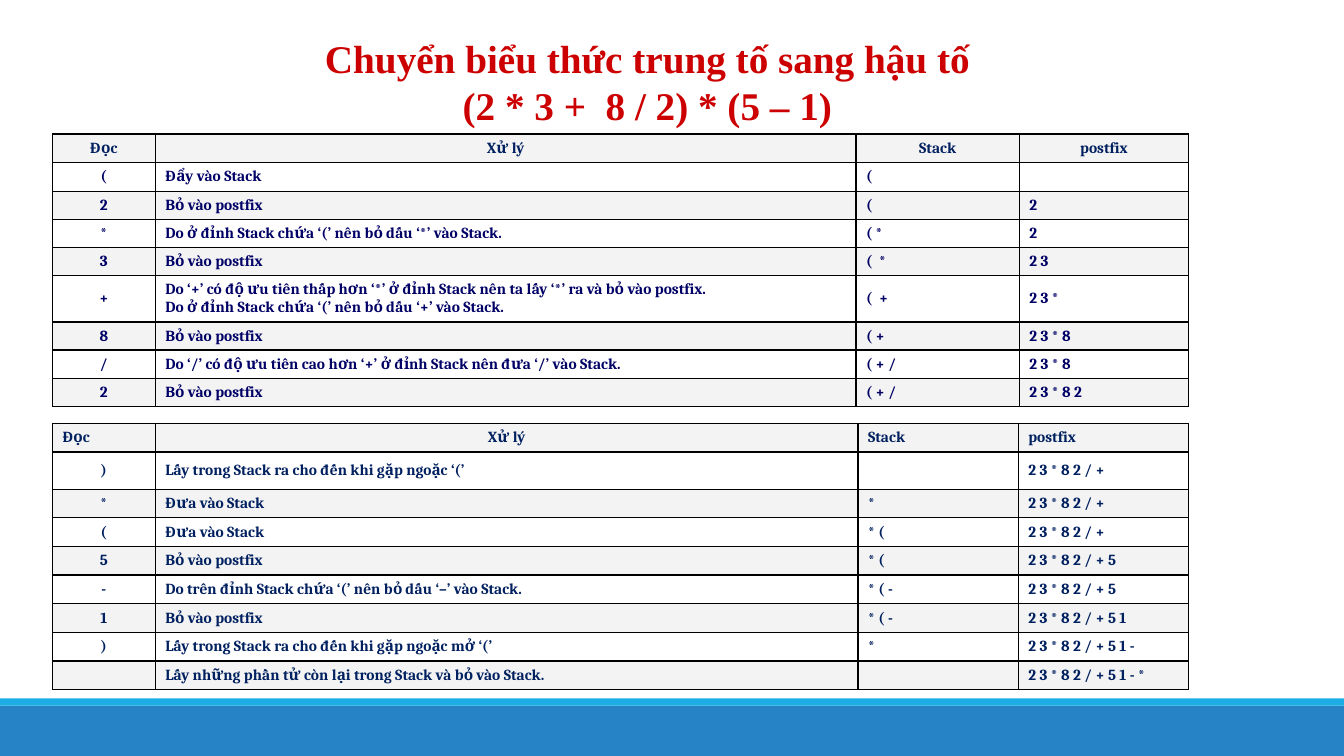
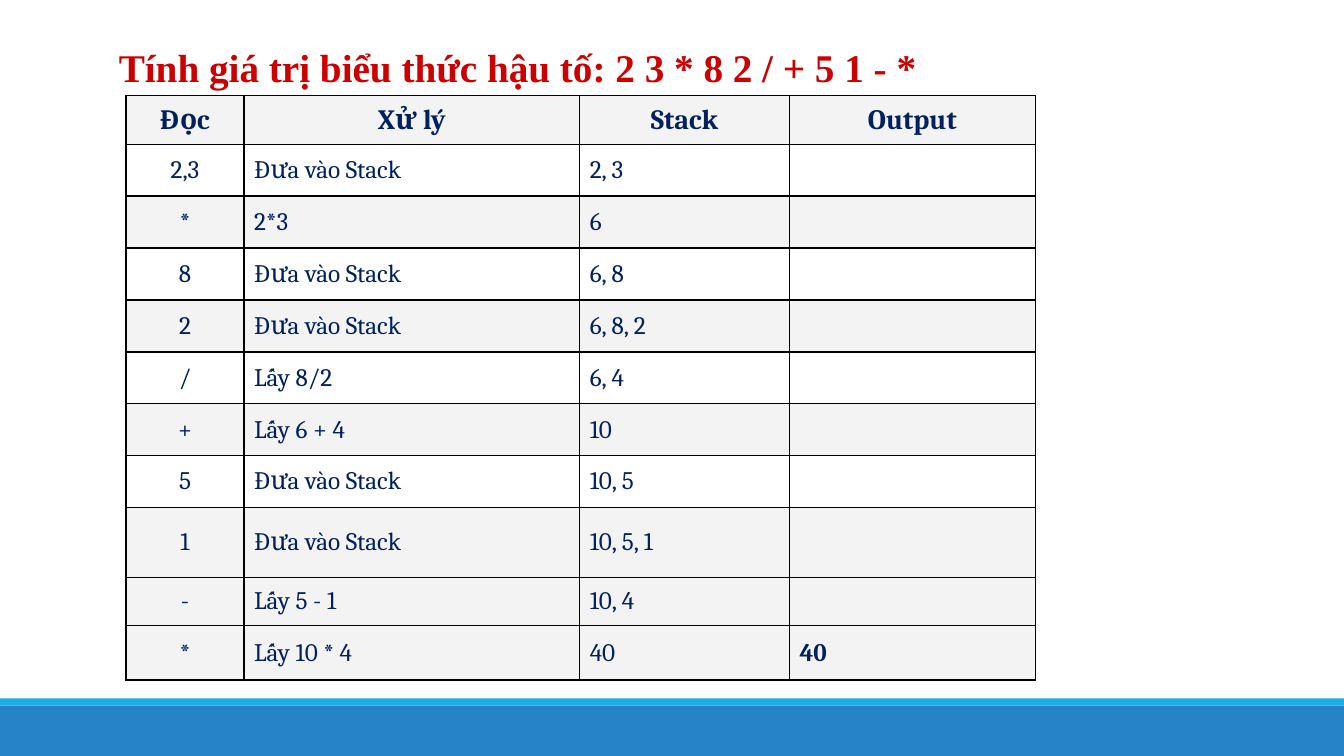
from dataclasses import dataclass, field

from lxml import etree
from pptx import Presentation
from pptx.dml.color import RGBColor
from pptx.enum import shapes, text
from pptx.oxml.ns import qn
from pptx.util import Inches, Pt

LEFT, CENTER, JUSTIFY = text.PP_ALIGN.LEFT, text.PP_ALIGN.CENTER, text.PP_ALIGN.JUSTIFY


@dataclass(frozen=True)
class Theme:
    """Colours, fonts and type sizes shared by the slides."""
    title: str = "CC0000"
    navy: str = "002060"
    indigo: str = "000066"
    stripe: str = "F3F3F3"
    plain: str = "FFFFFF"
    border: str = "000000"
    footer: str = "2683C6"
    accent: str = "1CADE4"
    title_font: str = "Times New Roman"
    table_font: str = "Cambria"
    title_size: int = 28
    dense_size: int = 11
    header_size: int = 20
    body_size: int = 18
    border_width: int = 1


THEME = Theme()


@dataclass(frozen=True)
class Box:
    """Position and size in inches."""
    left: float
    top: float
    width: float
    height: float


@dataclass(frozen=True)
class Style:
    """Look of the characters in a run."""
    font: str
    size: int
    color: str
    bold: bool = True


@dataclass(frozen=True)
class Grid:
    """A trace table; rows without a special height share what is left."""
    box: Box
    cols: list[float]
    rows: list[tuple[str, ...]]
    header: Style
    body: Style
    special_heights: dict[int, float]
    header_aligns: tuple = (CENTER,) * 4
    stripe_all_from: int = 99
    bold_cells: set[tuple[int, int]] = field(default_factory=set)


BANDS = [
    (Box(0, 7, 13.33, 0.5), THEME.footer),
    (Box(0, 6.93, 13.33, 0.07), THEME.accent),
]


def lengths(box: Box) -> tuple:
    """Convert a box to slide lengths."""
    return tuple(Inches(v) for v in (box.left, box.top, box.width, box.height))


def write(tf, content: str, style: Style, align) -> None:
    """Fill a text frame and format each paragraph."""
    tf.text = content
    for p in tf.paragraphs:
        p.alignment = align
        if not p.runs:
            p._p.get_or_add_endParaRPr().set("sz", str(style.size * 100))
        for r in p.runs:
            r.font.name = style.font
            r.font.size = Pt(style.size)
            r.font.bold = style.bold
            r.font.color.rgb = RGBColor.from_string(style.color)


def add_base(prs):
    """Add a blank slide with the footer bands."""
    s = prs.slides.add_slide(prs.slide_layouts[6])
    for box, color in BANDS:
        sp = s.shapes.add_shape(shapes.MSO_SHAPE.RECTANGLE, *lengths(box))
        sp.shadow.inherit = False
        sp.fill.solid()
        sp.fill.fore_color.rgb = RGBColor.from_string(color)
        sp.line.fill.background()
    return s


def add_title(s, box: Box, content: str, align) -> None:
    """Add the red slide title."""
    tf = s.shapes.add_textbox(*lengths(box)).text_frame
    tf.word_wrap = True
    tf.vertical_anchor = text.MSO_ANCHOR.MIDDLE
    write(tf, content, Style(THEME.title_font, THEME.title_size, THEME.title), align)


def add_borders(cell) -> None:
    """Draw a solid line on the four sides of a cell."""
    tc_pr = cell._tc.get_or_add_tcPr()
    for side in ("lnL", "lnR", "lnT", "lnB"):
        ln = etree.SubElement(tc_pr, qn(f"a:{side}"), w=str(Pt(THEME.border_width)))
        fill = etree.SubElement(ln, qn("a:solidFill"))
        etree.SubElement(fill, qn("a:srgbClr"), val=THEME.border)


def add_grid(s, grid: Grid) -> None:
    """Draw a striped table with its header row."""
    count = len(grid.rows)
    rest = grid.box.height - sum(grid.special_heights.values())
    regular = rest / (count - len(grid.special_heights))
    table = s.shapes.add_table(count, len(grid.cols), *lengths(grid.box)).table
    for column, width in zip(table.columns, grid.cols):
        column.width = Inches(width)
    for i, values in enumerate(grid.rows):
        table.rows[i].height = Inches(grid.special_heights.get(i, regular))
        striped = i % 2 == 0 or i >= grid.stripe_all_from
        for j, value in enumerate(values):
            cell = table.cell(i, j)
            cell.vertical_anchor = text.MSO_ANCHOR.MIDDLE
            add_borders(cell)
            cell.fill.solid()
            cell.fill.fore_color.rgb = RGBColor.from_string(
                THEME.stripe if striped else THEME.plain)
            style = grid.header if i == 0 else grid.body
            if (i, j) in grid.bold_cells:
                style = Style(style.font, style.size, style.color)
            body_align = CENTER if j == 0 else JUSTIFY
            write(cell.text_frame, value, style,
                  grid.header_aligns[j] if i == 0 else body_align)


DENSE_NAVY = Style(THEME.table_font, THEME.dense_size, THEME.navy)
POSTFIX_HEADER = ("Đọc", "Xử lý", "Stack", "postfix")
TO_POSTFIX = "Bỏ vào postfix"
PUSH = "Đưa vào Stack"

FIRST_HALF = Grid(
    box=Box(0.52, 1.33, 11.28, 2.69),
    cols=[1.02, 6.95, 1.62, 1.68],
    header=DENSE_NAVY,
    body=Style(THEME.table_font, THEME.dense_size, THEME.indigo),
    special_heights={5: 0.46},
    rows=[
        POSTFIX_HEADER,
        ("(", "Đẩy vào Stack", "(", ""),
        ("2", TO_POSTFIX, "(", "2"),
        ("*", "Do ở đỉnh Stack chứa ‘(’ nên bỏ dấu ‘*’ vào Stack.", "( *", "2"),
        ("3", TO_POSTFIX, "(  *", "2 3"),
        ("+", "Do ‘+’ có độ ưu tiên thấp hơn ‘*’ ở đỉnh Stack nên ta lấy ‘*’ ra "
              "và bỏ vào postfix.\nDo ở đỉnh Stack chứa ‘(’ nên bỏ dấu ‘+’ vào Stack.",
         "(  +", "2 3 *"),
        ("8", TO_POSTFIX, "( +", "2 3 * 8"),
        ("/", "Do ‘/’ có độ ưu tiên cao hơn ‘+’ ở đỉnh Stack nên đưa ‘/’ vào Stack.",
         "( + /", "2 3 * 8"),
        ("2", TO_POSTFIX, "( + /", "2 3 * 8 2"),
    ],
)

SECOND_HALF = Grid(
    box=Box(0.52, 4.2, 11.28, 2.64),
    cols=[1.02, 6.97, 1.59, 1.69],
    header=DENSE_NAVY,
    body=DENSE_NAVY,
    special_heights={1: 0.37},
    header_aligns=(LEFT, CENTER, JUSTIFY, JUSTIFY),
    rows=[
        POSTFIX_HEADER,
        (")", "Lấy trong Stack ra cho đến khi gặp ngoặc ‘(’", "", "2 3 * 8 2 / +"),
        ("*", PUSH, "*", "2 3 * 8 2 / +"),
        ("(", PUSH, "* (", "2 3 * 8 2 / +"),
        ("5", TO_POSTFIX, "* (", "2 3 * 8 2 / + 5"),
        ("-", "Do trên đỉnh Stack chứa ‘(’ nên bỏ dấu ‘–’ vào Stack.", "* ( -",
         "2 3 * 8 2 / + 5"),
        ("1", TO_POSTFIX, "* ( -", "2 3 * 8 2 / + 5 1"),
        (")", "Lấy trong Stack ra cho đến khi gặp ngoặc mở ‘(’", "*",
         "2 3 * 8 2 / + 5 1 -"),
        ("", "Lấy những phần tử còn lại trong Stack và bỏ vào Stack.", "",
         "2 3 * 8 2 / + 5 1 - *"),
    ],
)

EVALUATION = Grid(
    box=Box(1.25, 0.95, 9.02, 5.8),
    cols=[1.17, 3.33, 2.08, 2.44],
    header=Style(THEME.table_font, THEME.header_size, THEME.navy),
    body=Style(THEME.table_font, THEME.body_size, THEME.navy, bold=False),
    special_heights={0: 0.48, 8: 0.69, 9: 0.48, 10: 0.54},
    stripe_all_from=8,
    bold_cells={(10, 3)},
    rows=[
        ("Đọc", "Xử lý", "Stack", "Output"),
        ("2,3", PUSH, "2, 3", ""),
        ("*", "2*3", "6", ""),
        ("8", PUSH, "6, 8", ""),
        ("2", PUSH, "6, 8, 2", ""),
        ("/", "Lấy 8/2", "6, 4", ""),
        ("+", "Lấy 6 + 4", "10", ""),
        ("5", PUSH, "10, 5", ""),
        ("1", PUSH, "10, 5, 1", ""),
        ("-", "Lấy 5 - 1", "10, 4", ""),
        ("*", "Lấy 10 * 4", "40", "40"),
    ],
)


def conversion_slide(prs) -> None:
    """Infix to postfix conversion, traced in two tables."""
    s = add_base(prs)
    add_grid(s, FIRST_HALF)
    add_title(s, Box(0.52, 0.29, 11.8, 1.04),
              "Chuyển biểu thức trung tố sang hậu tố\n(2 * 3 +  8 / 2) * (5 – 1)", CENTER)
    add_grid(s, SECOND_HALF)


def evaluation_slide(prs) -> None:
    """Evaluation of the postfix expression."""
    s = add_base(prs)
    add_grid(s, EVALUATION)
    add_title(s, Box(1.08, 0.38, 9.2, 0.57),
              "Tính giá trị biểu thức hậu tố: 2 3 * 8 2 / + 5 1 - *", JUSTIFY)


def main() -> None:
    """Build and save the presentation."""
    prs = Presentation()
    prs.slide_width, prs.slide_height = Inches(13.33), Inches(7.5)
    conversion_slide(prs)
    evaluation_slide(prs)
    prs.save("out.pptx")


main()
